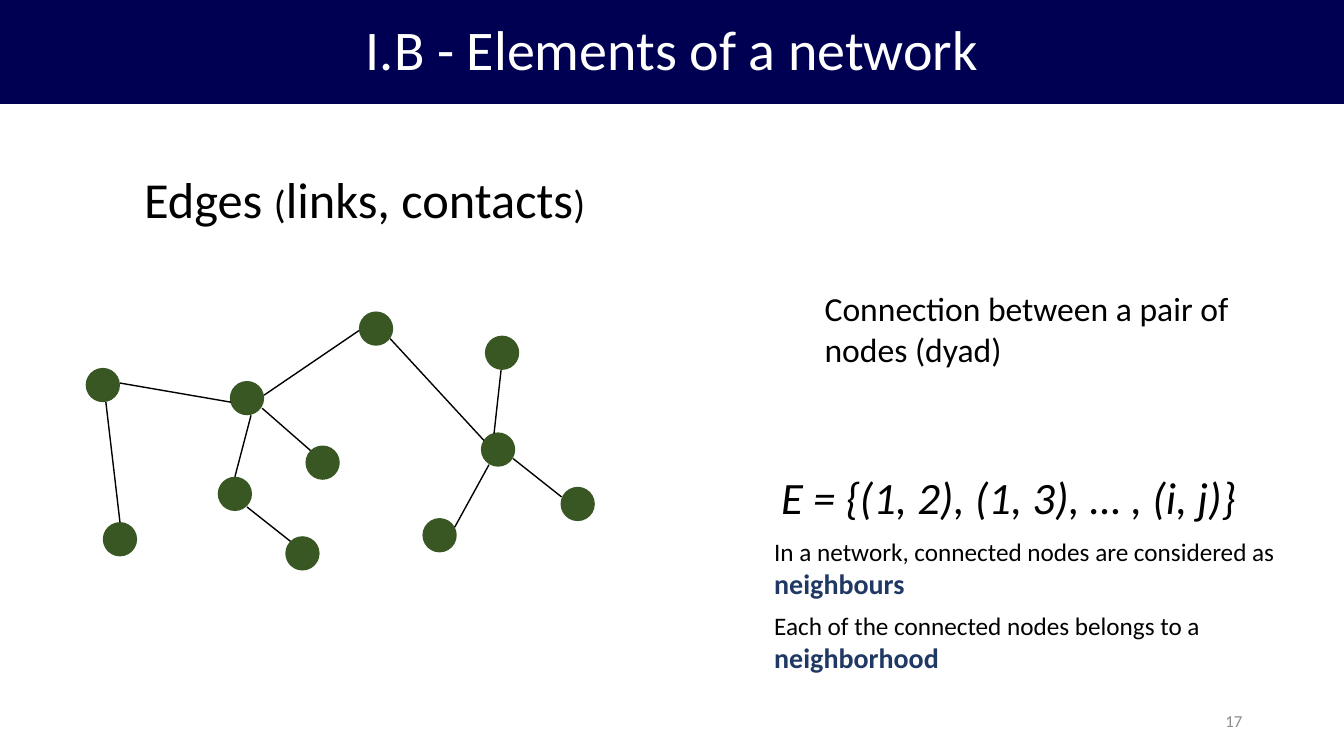
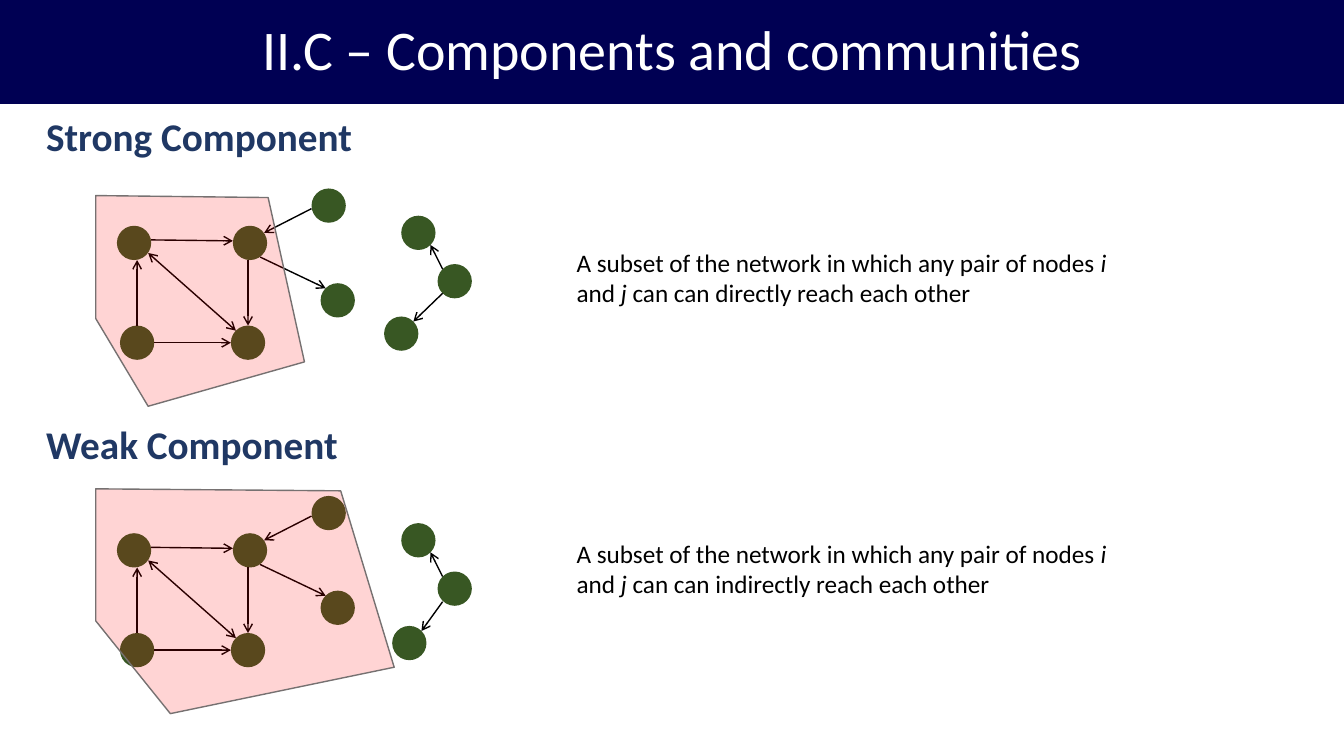
from dataclasses import dataclass

from lxml import etree
from pptx import Presentation
from pptx import util as u
from pptx.dml.color import RGBColor
from pptx.enum import shapes, text
from pptx.oxml import ns
from pptx.slide import Slide

NAVY = RGBColor(0x00, 0x00, 0x53)
BLUE = RGBColor(0x20, 0x38, 0x64)
GREEN = RGBColor(0x38, 0x57, 0x23)
RED = RGBColor(0xFF, 0x00, 0x00)
GREY = RGBColor(0x76, 0x71, 0x71)
PALE = RGBColor(0x8C, 0x8C, 0x8C)
BLACK = RGBColor(0x00, 0x00, 0x00)
WHITE = RGBColor(0xFF, 0xFF, 0xFF)
FONT = "Calibri"
WIDTH = 13.33
NODE = 0.34
STEP = 3.05  # from the strong graph down to the weak one

Point = tuple[float, float]


@dataclass(frozen=True)
class Run:
    text: str
    size: int | None = None
    bold: bool | None = None
    italic: bool | None = None
    color: RGBColor | None = None


@dataclass(frozen=True)
class Box:
    left: float
    top: float
    width: float
    height: float
    runs: tuple[Run, ...]
    size: int
    color: RGBColor = BLACK
    bold: bool = False
    wrap: bool = True


@dataclass(frozen=True)
class Edge:
    start: Point
    end: Point
    heads: tuple[str, ...] = ()


@dataclass(frozen=True)
class Part:
    """One kind of component: heading, hull, explanation and its loose node."""
    name: str
    shift: float
    head: Box
    note: Box
    hull: tuple[Point, ...]
    loose: Point
    link: Edge


TO = ("tailEnd",)
BOTH = ("headEnd", "tailEnd")

NODES = (
    (2.16, 4.73), (2.83, 5.32), (4.19, 5.14), (4.77, 4.29), (2.28, 3.78),
    (0.85, 3.65), (1.02, 5.18), (3.03, 4.42), (3.56, 3.09), (4.81, 3.33),
    (5.56, 4.83),
)
EDGES = (
    Edge((1.19, 3.8), (2.29, 3.99)), Edge((1.05, 3.99), (1.19, 5.18)),
    Edge((2.49, 4.12), (2.33, 4.73)), Edge((2.6, 4.05), (3.08, 4.47)),
    Edge((2.62, 3.92), (3.56, 3.28)), Edge((2.45, 5.03), (2.88, 5.37)),
    Edge((3.87, 3.36), (4.8, 4.37)), Edge((4.51, 5.23), (4.85, 4.61)),
    Edge((4.97, 3.67), (4.9, 4.3)), Edge((5.09, 4.55), (5.57, 4.93)),
)
NOTES = (
    Box(1.33, 1.62, 4.62, 0.71, (
        Run("Edges "), Run("(", 28), Run("links, contacts"), Run(")", 28),
    ), 36, wrap=False),
    Box(8.08, 2.81, 4.88, 0.91,
        (Run("Connection between a pair of nodes (dyad)"),), 24),
    Box(7.65, 4.61, 4.77, 0.64,
        (Run("E = {(1, 2), (1, 3), … , (i, j)}", italic=True),), 32, wrap=False),
    Box(7.58, 5.27, 5.39, 0.74, (
        Run("In a network, connected nodes are considered as "),
        Run("neighbours", 20, True, color=BLUE),
    ), 18),
    Box(7.58, 6.01, 5.39, 0.74, (
        Run("Each of the connected nodes belongs to a "),
        Run("neighborhood", 20, True, color=BLUE),
    ), 18),
)

INNER = (
    (2.29, 3.23), (2.31, 2.24), (1.16, 2.24), (1.19, 3.23), (3.18, 2.81),
    (3.09, 1.87),
)
ARROWS = (
    Edge((1.5, 2.38), (2.31, 2.39), TO), Edge((1.36, 3.23), (1.36, 2.58), TO),
    Edge((2.46, 2.58), (2.46, 3.23), TO), Edge((2.58, 2.55), (3.23, 2.86), TO),
    Edge((3.09, 2.07), (2.62, 2.31), TO), Edge((1.53, 3.4), (2.29, 3.4), TO),
    Edge((2.34, 3.28), (1.47, 2.51), BOTH),
)
OUTER = ((3.98, 2.14), (4.34, 2.62))
UPLINK = Edge((4.39, 2.67), (4.27, 2.43), TO)


def define(way: str) -> tuple[Run, ...]:
    return (
        Run("A subset of the network in which any pair of nodes "),
        Run("i", italic=True), Run(" and "), Run("j ", italic=True),
        Run(f"can can {way} reach each other"),
    )


PARTS = (
    Part("Strong Component", 0,
         Box(0.36, 1.07, 3.27, 0.57, (Run("Strong Component"),), 28, BLUE, True, False),
         Box(5.62, 2.4, 5.67, 0.71, define("directly"), 18),
         ((0.95, 3.16), (0.95, 1.94), (2.66, 1.96), (3.02, 3.59), (1.47, 4.03)),
         (3.81, 3.14), Edge((4.39, 2.91), (4.1, 3.19), TO)),
    Part("Weak Component", STEP,
         Box(0.36, 4.12, 3.13, 0.57, (Run("Weak Component"),), 28, BLUE, True, False),
         Box(5.62, 5.29, 5.67, 0.71, define("indirectly"), 18),
         ((0.95, 6.16), (0.95, 4.85), (3.38, 4.87), (3.91, 6.62), (1.69, 7.08)),
         (3.89, 3.16), Edge((4.39, 2.92), (4.18, 3.21), TO)),
)


def start(deck, title: str) -> Slide:
    """Add a slide whose title fills the navy band."""
    slide = deck.slides.add_slide(deck.slide_layouts[5])
    band = slide.shapes.title
    band.left, band.top = u.Inches(0), u.Inches(0)
    band.width, band.height = u.Inches(WIDTH), u.Inches(1.03)
    band.fill.solid()
    band.fill.fore_color.rgb = NAVY
    frame = band.text_frame
    frame.text = title
    frame.auto_size = text.MSO_AUTO_SIZE.NONE
    frame.vertical_anchor = text.MSO_ANCHOR.MIDDLE
    para = frame.paragraphs[0]
    para.alignment = text.PP_ALIGN.CENTER
    para.line_spacing = 0.9
    para.font.name, para.font.size = FONT, u.Pt(40)
    para.font.color.rgb = WHITE
    return slide


def write(slide: Slide, box: Box):
    shape = slide.shapes.add_textbox(*map(
        u.Inches, (box.left, box.top, box.width, box.height)))
    frame = shape.text_frame
    frame.word_wrap = box.wrap
    para = frame.paragraphs[0]
    para.font.name, para.font.size = FONT, u.Pt(box.size)
    para.font.bold = box.bold
    para.font.color.rgb = box.color
    for item in box.runs:
        run = para.add_run()
        run.text = item.text
        run.font.bold, run.font.italic = item.bold, item.italic
        if item.size:
            run.font.size = u.Pt(item.size)
        if item.color:
            run.font.color.rgb = item.color
    return frame


def dot(slide: Slide, spot: Point, shift: float = 0) -> None:
    x, y = spot
    node = slide.shapes.add_shape(
        shapes.MSO_SHAPE.OVAL, u.Inches(x), u.Inches(y + shift),
        u.Inches(NODE), u.Inches(NODE))
    node.shadow.inherit = False
    node.fill.solid()
    node.fill.fore_color.rgb = GREEN
    node.line.fill.background()


def join(slide: Slide, edge: Edge, shift: float = 0) -> None:
    (x1, y1), (x2, y2) = edge.start, edge.end
    line = slide.shapes.add_connector(
        shapes.MSO_CONNECTOR.STRAIGHT, u.Inches(x1), u.Inches(y1 + shift),
        u.Inches(x2), u.Inches(y2 + shift))
    line.line.width = u.Pt(1)
    line.line.color.rgb = BLACK
    props = line.line._get_or_add_ln()
    for end in edge.heads:
        etree.SubElement(props, ns.qn(f"a:{end}"), type="arrow")
    etree.SubElement(line._element.spPr, ns.qn("a:effectLst"))


def wrap(slide: Slide, hull: tuple[Point, ...]) -> None:
    """Lay a see-through outline over the nodes of a component."""
    first, *rest = [(u.Inches(x), u.Inches(y)) for x, y in hull]
    form = slide.shapes.build_freeform(*first)
    form.add_line_segments(rest, close=True)
    area = form.convert_to_shape()
    area.shadow.inherit = False
    area.fill.solid()
    area.fill.fore_color.rgb = RED
    tint = area._element.spPr.find(f"{ns.qn('a:solidFill')}/{ns.qn('a:srgbClr')}")
    etree.SubElement(tint, ns.qn("a:alpha"), val="17000")
    area.line.color.rgb = GREY
    area.line.width = u.Pt(1)


def graph(slide: Slide, nodes: tuple[Point, ...], edges: tuple[Edge, ...],
          shift: float = 0) -> None:
    for spot in nodes:
        dot(slide, spot, shift)
    for edge in edges:
        join(slide, edge, shift)


def network(deck) -> None:
    slide = start(deck, "I.B - Elements of a network")
    graph(slide, NODES, EDGES)
    for note in NOTES:
        write(slide, note)
    frame = write(slide, Box(9.42, 6.95, 3, 0.4, (Run("17"),), 12, PALE))
    frame.vertical_anchor = text.MSO_ANCHOR.MIDDLE
    frame.paragraphs[0].alignment = text.PP_ALIGN.RIGHT


def groups(deck) -> None:
    slide = start(deck, "II.C – Components and communities")
    for part in PARTS:
        graph(slide, INNER, ARROWS, part.shift)
        wrap(slide, part.hull)
        graph(slide, (*OUTER, part.loose), (UPLINK, part.link), part.shift)
        write(slide, part.head)
        write(slide, part.note)


def main() -> None:
    deck = Presentation()
    deck.slide_width, deck.slide_height = u.Inches(WIDTH), u.Inches(7.5)
    network(deck)
    groups(deck)
    deck.save("out.pptx")


if __name__ == "__main__":
    main()
